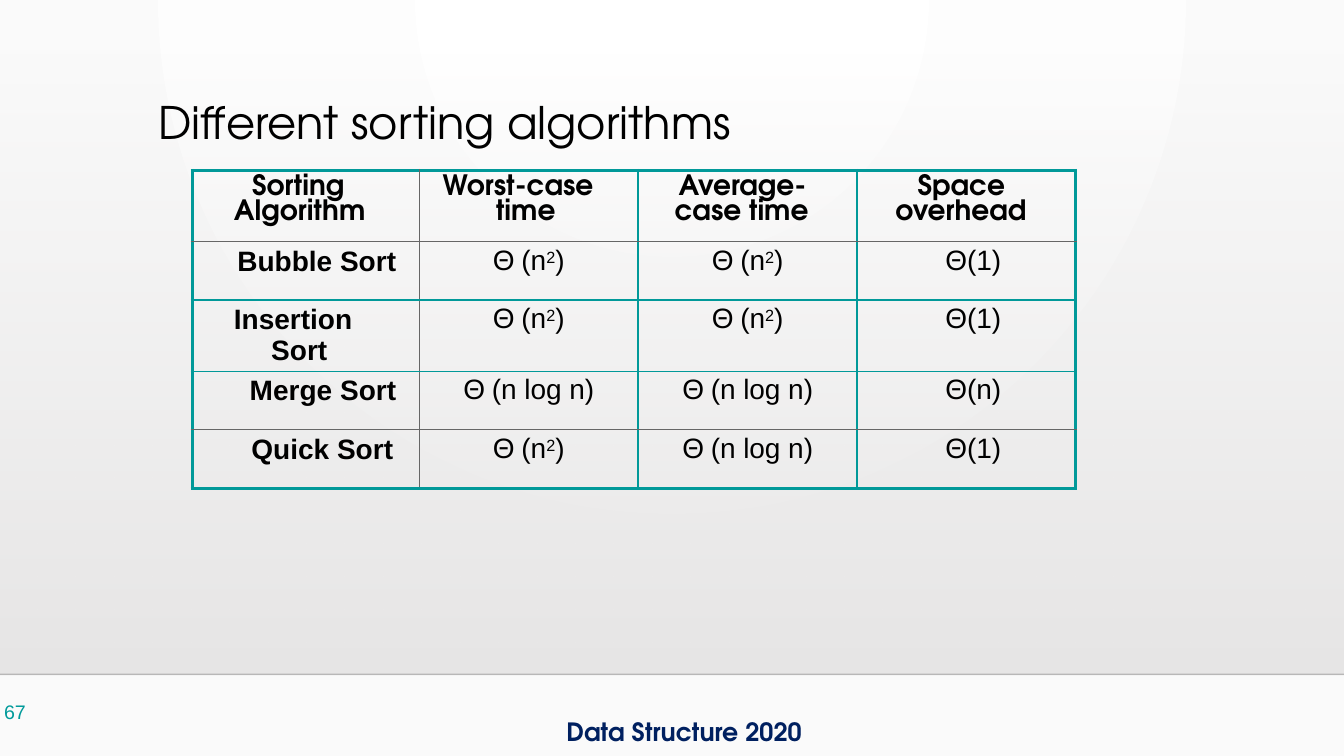
from typing import NamedTuple

from lxml import etree
from pptx import Presentation
from pptx.dml.color import RGBColor
from pptx.enum.shapes import MSO_CONNECTOR, MSO_SHAPE
from pptx.enum.text import MSO_AUTO_SIZE, PP_ALIGN
from pptx.oxml.ns import qn
from pptx.util import Emu, Inches, Pt

LEFT, CENTER, RIGHT = PP_ALIGN.LEFT, PP_ALIGN.CENTER, PP_ALIGN.RIGHT
RECTANGLE, STRAIGHT = MSO_SHAPE.RECTANGLE, MSO_CONNECTOR.STRAIGHT
GROW = MSO_AUTO_SIZE.SHAPE_TO_FIT_TEXT
HEADING_FONT, BODY_FONT = "TeX Gyre Adventor", "Arial"
COLORS = {
    "ink": "000000", "navy": "002060", "teal": "009A9A", "border": "019999",
    "hairline": "666666", "rule": "000001", "white": "FFFFFF", "paper": "FAFAFA",
    "haze": "E7E6E6", "haze_end": "E8E7E7",
}
SLIDE_W, SLIDE_H = Inches(13.33), Inches(7.5)


class Place(NamedTuple):
    """Left, top, width and height as percentages of the slide."""
    left: float
    top: float
    width: float
    height: float


class Run(NamedTuple):
    text: str
    spacing: float = 0
    raised: bool = False


class Label(NamedTuple):
    """A wrapped table label; indents are in inches."""
    text: str
    indent: float = 0
    first_line: float = 0
    right_indent: float = 0


class Algorithm(NamedTuple):
    label: Label
    worst: str
    average: str
    space: str


class Border(NamedTuple):
    color: str
    width: float


HEADERS = [
    Label("Sorting Algorithm", 0.41, 0.18, 0.3),
    Label("Worst-case time", 0.76, -0.53, 0.3),
    Label("Average-case time", 0.36, 0.04, 0.3),
    Label("Space overhead", 0.38, 0.22, 0.3),
]
ALGORITHMS = [
    Algorithm(Label("Bubble Sort", right_indent=0.23), "(n²)", "(n²)", "(1)"),
    Algorithm(Label("Insertion Sort", 0.78, -0.37, 0.3), "(n²)", "(n²)", "(1)"),
    Algorithm(Label("Merge Sort", right_indent=0.23), "(n log n)", "(n log n)", "(n)"),
    Algorithm(Label("Quick Sort", right_indent=0.26), "(n²)", "(n log n)", "(1)"),
]
TABLE = Place(14.33, 22.53, 65.72, 41.98)
COLUMN_SHARES = [16.88] + [16.28] * 3
ROW_SHARES = [9.46, 7.73, 9.33, 7.73, 7.73]
COLUMN_BORDERS = [Border("border", 3), Border("hairline", 0.75), Border("border", 1.5),
                  Border("border", 1.5), Border("border", 2.25)]
ROW_BORDERS = [Border("border", 2.25), Border("hairline", 0.75), Border("border", 1.5),
               Border("border", 1.5), Border("hairline", 0.75), Border("border", 3)]


def across(percent: float) -> Emu:
    return Emu(round(SLIDE_W * percent / 100))


def down(percent: float) -> Emu:
    return Emu(round(SLIDE_H * percent / 100))


def box(place: Place) -> tuple:
    return across(place.left), down(place.top), across(place.width), down(place.height)


def rgb(name: str) -> RGBColor:
    return RGBColor.from_string(COLORS[name])


def set_alpha(color_owner, percent: int) -> None:
    color = next(color_owner.iter(qn("a:srgbClr")))
    etree.SubElement(color, qn("a:alpha"), val=str(percent * 1000))


def write(frame, runs: list[Run], *, size: float, color: str = "ink", font: str = BODY_FONT,
          bold: bool = False, align=LEFT, indent: float = 0, first_line: float = 0,
          right_indent: float = 0, line_spacing=None) -> None:
    paragraph = frame.paragraphs[0]
    paragraph.alignment = align
    paragraph.line_spacing = line_spacing
    properties = paragraph._p.get_or_add_pPr()
    for key, inches in (("marL", indent), ("marR", right_indent), ("indent", first_line)):
        properties.set(key, str(Inches(inches)))
    for part in runs:
        run = paragraph.add_run()
        run.text = part.text
        run.font.name, run.font.size, run.font.bold = font, Pt(size), bold
        run.font.color.rgb = rgb(color)
        if part.spacing:
            run.font._element.set("spc", str(round(part.spacing * 100)))
        if part.raised:
            run.font._element.set("baseline", "24000")


def add_text(slide, place: Place, text: str, *, inset: float = 0, wrap: bool = True,
             **text_format) -> None:
    frame = slide.shapes.add_textbox(*box(place)).text_frame
    frame.word_wrap, frame.auto_size = wrap, GROW
    frame.margin_left = frame.margin_right = Inches(inset)
    frame.margin_top = frame.margin_bottom = Inches(inset / 2)
    write(frame, [Run(text)], **text_format)


def set_gradient(fill, start: str, end: str) -> None:
    fill.gradient()
    for stop, name in zip(fill.gradient_stops, (start, end)):
        stop.color.rgb = rgb(name)


def draw_backdrop(slide) -> None:
    # Radial page glow
    set_gradient(slide.background.fill, "white", "paper")
    glow = next(slide.element.iter(qn("a:gradFill")))
    glow.remove(glow.find(qn("a:lin")))
    circle = etree.SubElement(glow, qn("a:path"), path="circle")
    etree.SubElement(circle, qn("a:fillToRect"), l="43000", t="0", r="43000", b="100000")

    # Haze that thickens toward the footer
    haze = slide.shapes.add_shape(RECTANGLE, *box(Place(0, 6.8, 100, 82.4)))
    haze.shadow.inherit = False
    haze.line.fill.background()
    set_gradient(haze.fill, "haze", "haze_end")
    haze.fill.gradient_angle = 270
    set_alpha(next(haze._element.iter(qn("a:gs"))), 0)

    # Footer rule
    rule = slide.shapes.add_connector(STRAIGHT, 0, down(89.2), SLIDE_W, down(89.2))
    rule.line.color.rgb, rule.line.width = rgb("rule"), Pt(1)
    set_alpha(rule._element.spPr, 20)
    etree.SubElement(rule._element.spPr, qn("a:effectLst"))


def set_borders(cell, row: int, column: int) -> None:
    sides = {"a:lnL": COLUMN_BORDERS[column], "a:lnR": COLUMN_BORDERS[column + 1],
             "a:lnT": ROW_BORDERS[row], "a:lnB": ROW_BORDERS[row + 1]}
    properties = cell._tc.get_or_add_tcPr()
    for position, (tag, border) in enumerate(sides.items()):
        edge = etree.Element(qn(tag), w=str(Pt(border.width)))
        solid = etree.SubElement(edge, qn("a:solidFill"))
        etree.SubElement(solid, qn("a:srgbClr"), val=COLORS[border.color])
        properties.insert(position, edge)


def cost_runs(theta: Run, cost: str) -> list[Run]:
    base, power, rest = cost.partition("²")
    runs = [theta, Run(base, -0.05)]
    return runs + [Run("2", -0.05, True), Run(rest, -0.05)] if power else runs


def write_label(cell, label: Label, **text_format) -> None:
    cell.margin_top = Inches(0.04)
    write(cell.text_frame, [Run(label.text)], size=20, bold=True, indent=label.indent,
          first_line=label.first_line, right_indent=label.right_indent, **text_format)


def draw_comparison(slide) -> None:
    comparison = slide.shapes.add_table(
        len(ROW_SHARES), len(COLUMN_SHARES), *box(TABLE)).table
    comparison.first_row = comparison.horz_banding = False
    for column, share in zip(comparison.columns, COLUMN_SHARES):
        column.width = across(share)
    for row, share in zip(comparison.rows, ROW_SHARES):
        row.height = down(share)
    for index, cell in enumerate(comparison.iter_cells()):
        cell.fill.background()
        cell.margin_left = cell.margin_right = cell.margin_bottom = 0
        cell.margin_top = Inches(0.03)
        set_borders(cell, *divmod(index, len(COLUMN_SHARES)))

    for column, header in enumerate(HEADERS):
        write_label(comparison.cell(0, column), header, font=HEADING_FONT)
    for row, algorithm in enumerate(ALGORITHMS, start=1):
        label = algorithm.label
        write_label(comparison.cell(row, 0), label, align=LEFT if label.indent else RIGHT)
        for column, cost in enumerate((algorithm.worst, algorithm.average), start=1):
            write(comparison.cell(row, column).text_frame,
                  cost_runs(Run("Θ ", -0.8), cost), size=20, align=CENTER)
        write(comparison.cell(row, 3).text_frame, cost_runs(Run("Θ"), algorithm.space),
              size=20, align=RIGHT, right_indent=0.74)


def main() -> None:
    deck = Presentation()
    deck.slide_width, deck.slide_height = SLIDE_W, SLIDE_H
    slide = deck.slides.add_slide(deck.slide_layouts[6])
    draw_backdrop(slide)

    # Footer, title and page number
    add_text(slide, Place(41.41, 94.13, 19.58, 5.33), "Data Structure 2020", inset=0.1,
             wrap=False, size=18, font=HEADING_FONT, color="navy", bold=True)
    add_text(slide, Place(11.7, 12.53, 57.39, 7.33), "Different sorting algorithms",
             size=32, font=HEADING_FONT, indent=0.01)
    add_text(slide, Place(0, 92.67, 6.68, 7.33), "67", size=14, color="teal",
             indent=0.04, line_spacing=Pt(16.4))

    # Complexity table
    draw_comparison(slide)
    deck.save("out.pptx")


if __name__ == "__main__":
    main()
